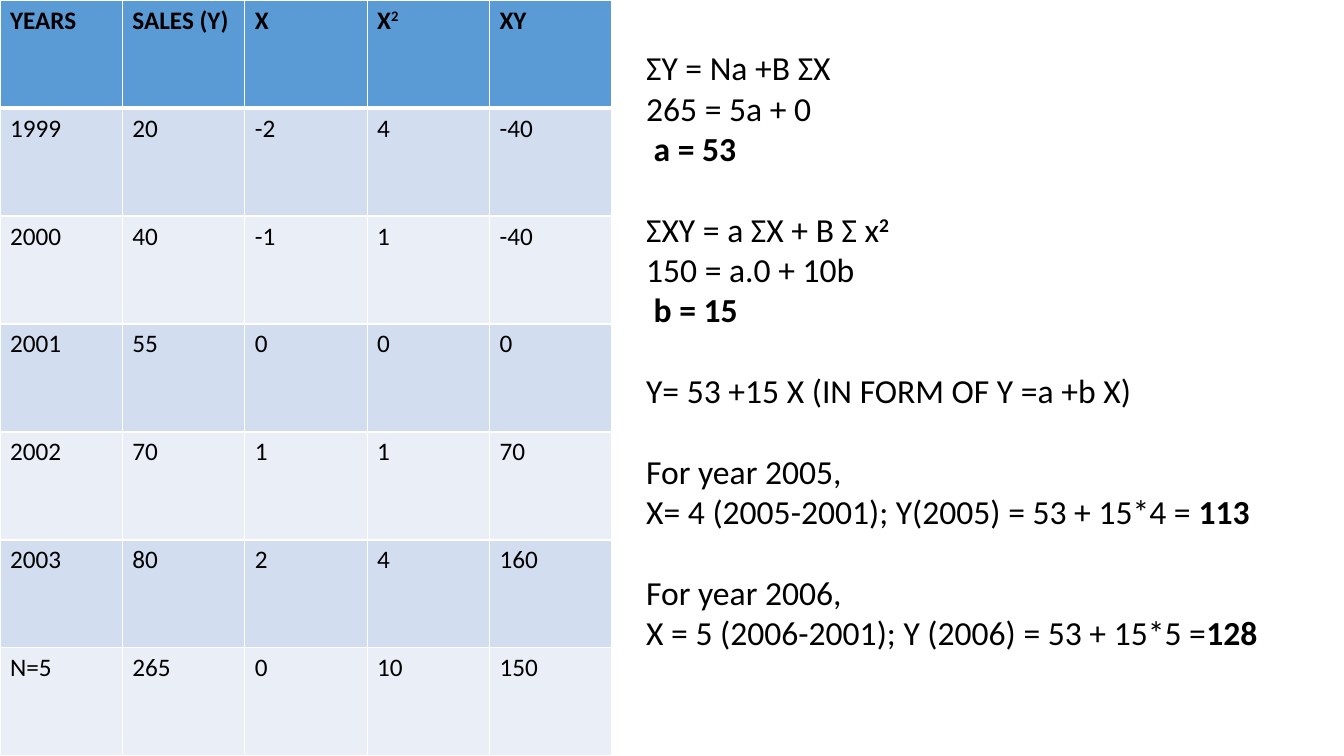
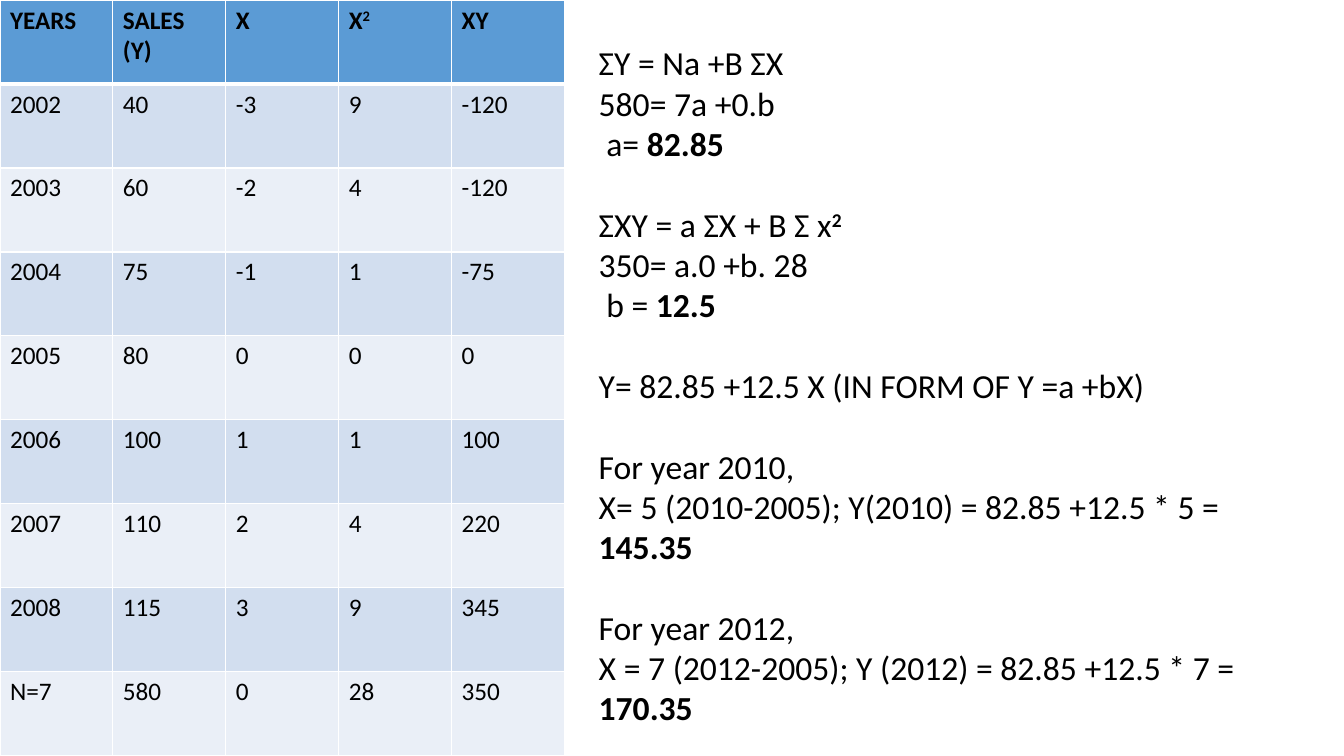
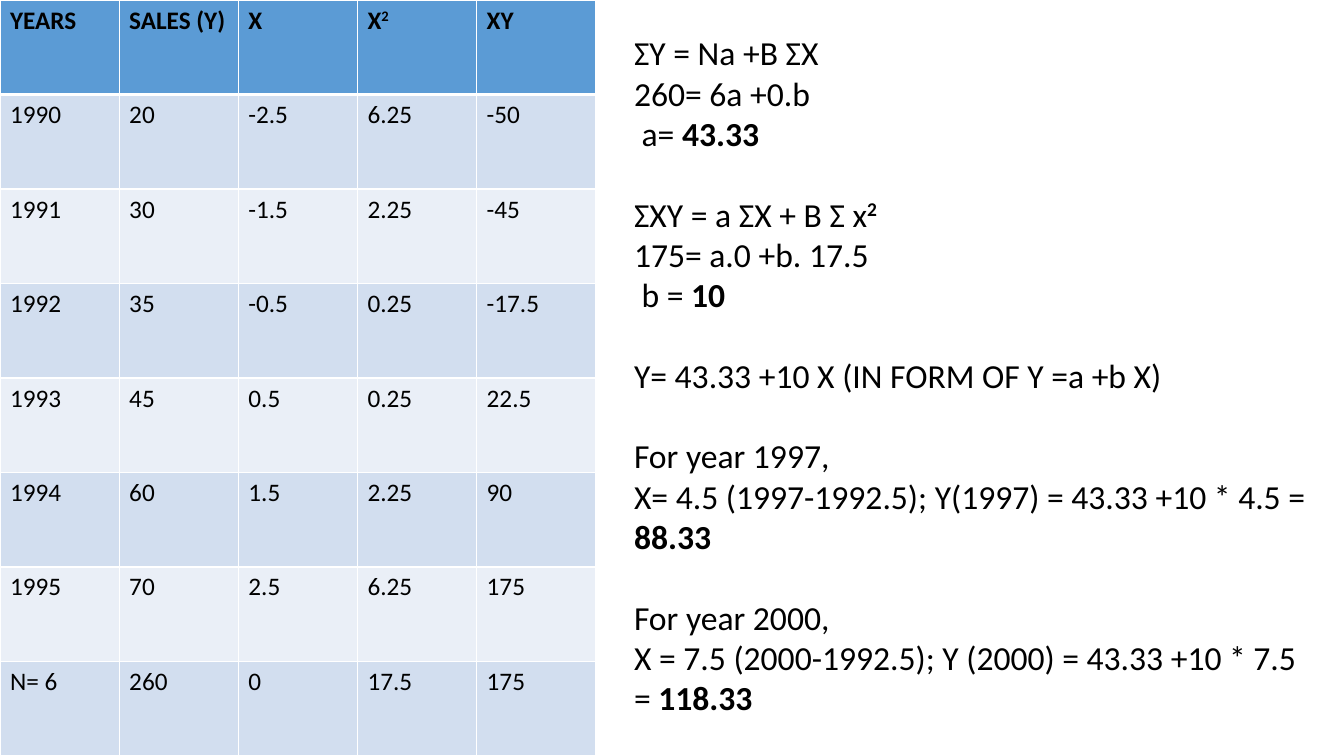
import lxml.etree
import pptx
import pptx.dml.color
import pptx.enum.text
import pptx.oxml.ns
import pptx.util

Inches = pptx.util.Inches
Pt = pptx.util.Pt

SLIDE_WIDTH, SLIDE_HEIGHT = 13.33, 7.5
HEADINGS = ["YEARS", "SALES (Y)", "X", "X|^2", "XY"]


def color(hex_string):
    return pptx.dml.color.RGBColor.from_string(hex_string)


def trend_rows(first_year, sales, total_label):
    """Years, sales, deviations from the middle year, products and totals."""
    middle = (len(sales) - 1) / 2
    numbers = [(y, i - middle, (i - middle) ** 2, (i - middle) * y)
               for i, y in enumerate(sales)]
    labels = [str(first_year + i) for i in range(len(sales))] + [total_label]
    numbers.append([sum(column) for column in zip(*numbers)])
    return [[label] + [f"{number:g}" for number in row]
            for label, row in zip(labels, numbers)]


class Deck:
    FONT = "Calibri"
    TEXT = "000000"
    LINE = "FFFFFF"
    HEADER = "5B9BD5"
    BANDS = ["D2DEEF", "EAEFF7"]
    TABLE_SIZE, WORKING_SIZE, GROUP_GAP = 18, 24, 28.8

    def __init__(self):
        self.presentation = pptx.Presentation()
        self.presentation.slide_width = Inches(SLIDE_WIDTH)
        self.presentation.slide_height = Inches(SLIDE_HEIGHT)
        self.slide = None

    def add_slide(self):
        blank_layout = self.presentation.slide_layouts[6]
        self.slide = self.presentation.slides.add_slide(blank_layout)

    def add_text(self, paragraph, text, size, bold=False):
        """A bar switches to and from bold; a caret raises its part."""
        for index, part in enumerate(text.split("|")):
            if not part:
                continue
            run = paragraph.add_run()
            run.text = part.lstrip("^")
            run.font.name = self.FONT
            run.font.size = Pt(size)
            run.font.bold = bold or index % 2 == 1
            run.font.color.rgb = color(self.TEXT)
            if part.startswith("^"):
                run._r.get_or_add_rPr().set("baseline", "30000")

    def border(self, cell, side, width):
        properties = cell._tc.get_or_add_tcPr()
        line = lxml.etree.SubElement(
            properties, pptx.oxml.ns.qn(f"a:ln{side}"), w=str(int(Pt(width))))
        fill = lxml.etree.SubElement(line, pptx.oxml.ns.qn("a:solidFill"))
        lxml.etree.SubElement(
            fill, pptx.oxml.ns.qn("a:srgbClr"), val=self.LINE)

    def table(self, width, rows):
        rows = [HEADINGS] + rows
        table = self.slide.shapes.add_table(
            len(rows), len(HEADINGS), Inches(0), Inches(0),
            Inches(width), Inches(SLIDE_HEIGHT)).table
        for column in table.columns:
            column.width = Inches(width / len(HEADINGS))
        for row_index, values in enumerate(rows):
            is_header = row_index == 0
            table.rows[row_index].height = Inches(SLIDE_HEIGHT / len(rows))
            band = self.HEADER if is_header else self.BANDS[(row_index - 1) % 2]
            top, bottom = 3 if row_index == 1 else 1, 3 if is_header else 1
            for column_index, value in enumerate(values):
                cell = table.cell(row_index, column_index)
                for side, line_width in zip("LRTB", (1, 1, top, bottom)):
                    self.border(cell, side, line_width)
                cell.fill.solid()
                cell.fill.fore_color.rgb = color(band)
                self.add_text(cell.text_frame.paragraphs[0], value,
                              self.TABLE_SIZE, bold=is_header)

    def working(self, left, top, width, height, groups):
        """Lines of working, with an empty line's height between groups."""
        box = self.slide.shapes.add_textbox(
            Inches(left), Inches(top), Inches(width), Inches(height))
        frame = box.text_frame
        frame.word_wrap = True
        frame.auto_size = pptx.enum.text.MSO_AUTO_SIZE.SHAPE_TO_FIT_TEXT
        paragraph = frame.paragraphs[0]
        for group_index, lines in enumerate(groups):
            for line_index, line in enumerate(lines):
                if group_index or line_index:
                    paragraph = frame.add_paragraph()
                if group_index and line_index == 0:
                    paragraph.space_before = Pt(self.GROUP_GAP)
                self.add_text(paragraph, line, self.WORKING_SIZE)


SUM_EQUATION = "ΣY = Na +B ΣX"
PRODUCT_EQUATION = "ΣXY = a ΣX + B Σ x|^2"


def main():
    deck = Deck()

    # Five years from 1999
    deck.add_slide()
    deck.table(6.07, trend_rows(1999, [20, 40, 55, 70, 80], "N=5"))
    deck.working(6.31, 0.42, 6.75, 6.46, [
        [SUM_EQUATION, "265 = 5a + 0", " |a = 53"],
        [PRODUCT_EQUATION, "150 = a.0 + 10b", " |b = 15"],
        ["Y= 53 +15 X (IN FORM OF Y =a +b X)"],
        ["For year 2005,", "X= 4 (2005-2001); Y(2005) = 53 + 15*4 = |113"],
        ["For year 2006,", "X = 5 (2006-2001); Y (2006) = 53 + 15*5 =|128"],
    ])

    # Seven years from 2002
    deck.add_slide()
    deck.table(5.6, trend_rows(2002, [40, 60, 75, 80, 100, 110, 115], "N=7"))
    deck.working(5.84, 0.37, 7.27, 7, [
        [SUM_EQUATION, "580= 7a +0.b", " a= |82.85"],
        [PRODUCT_EQUATION, "350= a.0 +b. 28", " b = |12.5"],
        ["Y= 82.85 +12.5 X (IN FORM OF Y =a +bX)"],
        ["For year 2010,",
         "X= 5 (2010-2005); Y(2010) = 82.85 +12.5 * 5 = |145.35"],
        ["For year 2012,",
         "X = 7 (2012-2005); Y (2012) = 82.85 +12.5 * 7 = |170.35"],
    ])

    # Six years from 1990
    deck.add_slide()
    deck.table(5.91, trend_rows(1990, [20, 30, 35, 45, 60, 70], "N= 6"))
    deck.working(6.19, 0.27, 6.9, 7, [
        [SUM_EQUATION, "260= 6a +0.b", " a= |43.33"],
        [PRODUCT_EQUATION, "175= a.0 +b. 17.5", " b = |10"],
        ["Y= 43.33 +10 X (IN FORM OF Y =a +b X)"],
        ["For year 1997,",
         "X= 4.5 (1997-1992.5); Y(1997) = 43.33 +10 * 4.5 = |88.33"],
        ["For year 2000,",
         "X = 7.5 (2000-1992.5); Y (2000) = 43.33 +10 * 7.5 = |118.33"],
    ])

    deck.presentation.save("out.pptx")


if __name__ == "__main__":
    main()
